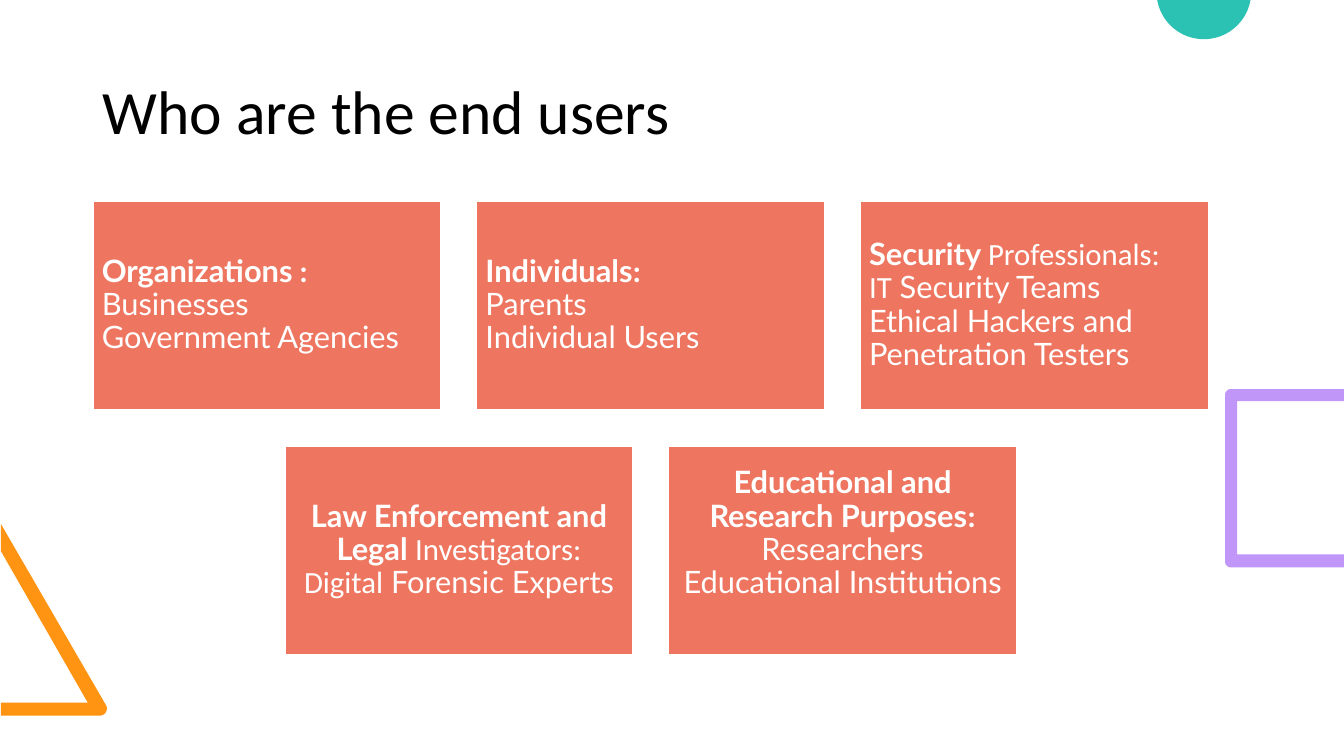
from dataclasses import dataclass
from math import cos, radians, sin
from typing import Any

from pptx import Presentation
from pptx.dml.color import RGBColor
from pptx.enum.shapes import MSO_SHAPE
from pptx.enum.text import MSO_ANCHOR, MSO_AUTO_SIZE, PP_ALIGN
from pptx.slide import Slide
from pptx.text.text import _Paragraph
from pptx.util import Inches, Pt

WHITE = RGBColor(0xFF, 0xFF, 0xFF)
BLACK = RGBColor(0x00, 0x00, 0x00)
CORAL = RGBColor(0xEE, 0x76, 0x60)
ORANGE = RGBColor(0xFF, 0x94, 0x13)
TEAL = RGBColor(0x2B, 0xC2, 0xB4)
PURPLE = RGBColor(0xC0, 0x97, 0xF8)

SLIDE_WIDTH, SLIDE_HEIGHT = 13.33, 7.5
GRID_LEFT, GRID_TOP, GRID_WIDTH = 0.92, 1.99, 11.07
CARD_WIDTH, CARD_HEIGHT = 3.46, 2.08
COLUMN_PITCH = (GRID_WIDTH - CARD_WIDTH) / 2
ROW_PITCH = 2.43
CARD_INSET = 0.09

Point = tuple[float, float]
CARD_FONT = {"size": Pt(22)}
BOLD_LATO = {"name": "Lato", "bold": True}
BOLD_CALIBRI = {"name": "Calibri", "bold": True}
LATO = {"name": "Lato", "bold": False}
CALIBRI = {"name": "Calibri", "bold": False}
TITLE_FONT = {"name": "Calibri", "size": Pt(44), "bold": False}


@dataclass(frozen=True)
class Phrase:
    text: str
    font: dict[str, Any]


@dataclass(frozen=True)
class Card:
    column: float
    row: int
    phrases: tuple[Phrase, ...]
    alignment: PP_ALIGN = PP_ALIGN.LEFT
    bottom_inset: float = CARD_INSET


@dataclass(frozen=True)
class Ornament:
    points: list[Point]
    color: RGBColor


def arc(x: float, y: float, radius: float, start: int, end: int) -> list[Point]:
    steps = 24
    angles = [radians(start + (end - start) * step / steps) for step in range(steps + 1)]
    return [(x + radius * cos(angle), y + radius * sin(angle)) for angle in angles]


CARDS = [
    Card(0, 0, (
        Phrase("Organizations", BOLD_LATO),
        Phrase(" :\n", BOLD_CALIBRI),
        Phrase("Businesses\nGovernment Agencies", LATO),
    )),
    Card(1, 0, (
        Phrase("Individuals", BOLD_LATO),
        Phrase(":\n", BOLD_CALIBRI),
        Phrase("Parents\nIndividual Users", LATO),
    )),
    Card(2, 0, (
        Phrase("Security ", BOLD_LATO),
        Phrase("Professionals:\nIT", CALIBRI),
        Phrase(" Security Teams\nEthical Hackers and Penetration Testers", LATO),
    )),
    Card(0.5, 1, (
        Phrase("Law Enforcement and Legal ", BOLD_LATO),
        Phrase("Investigators:\nDigital", CALIBRI),
        Phrase(" Forensic Experts", LATO),
    ), PP_ALIGN.CENTER),
    Card(1.5, 1, (
        Phrase("Educational and Research Purposes", BOLD_LATO),
        Phrase(":\n", BOLD_CALIBRI),
        Phrase("Researchers\nEducational Institutions", LATO),
    ), PP_ALIGN.CENTER, 0.42),
]

ORNAMENTS = [
    Ornament(
        [(0.01, 7.1), (0.01, 6.97), (0.87, 6.97), (0.01, 5.47), (0.01, 5.2)]
        + arc(0.99, 7.03, 0.07, -30, 90),
        ORANGE,
    ),
    Ornament(arc(11.94, -0.08, 0.47, 170, 10), TEAL),
    Ornament(
        [(SLIDE_WIDTH, 5.63), (SLIDE_WIDTH, 5.5), (12.27, 5.5),
         (12.27, 3.98), (SLIDE_WIDTH, 3.98), (SLIDE_WIDTH, 3.86)]
        + arc(12.21, 3.92, 0.06, 270, 180)
        + arc(12.21, 5.57, 0.06, 180, 90),
        PURPLE,
    ),
]


def apply_format(target: Any, values: dict[str, Any]) -> None:
    for name, value in values.items():
        setattr(target, name, value)


def write_phrase(paragraph: _Paragraph, phrase: Phrase, color: RGBColor) -> None:
    for index, line in enumerate(phrase.text.split("\n")):
        if index:
            paragraph.add_line_break()
        if line:
            run = paragraph.add_run()
            run.text = line
            apply_format(run.font, CARD_FONT | phrase.font)
            run.font.color.rgb = color


def draw_ornament(slide: Slide, ornament: Ornament) -> None:
    points = [(Inches(x), Inches(max(y, 0))) for x, y in ornament.points]
    builder = slide.shapes.build_freeform(*points[0])
    builder.add_line_segments(points[1:], close=True)
    shape = builder.convert_to_shape()
    shape.shadow.inherit = False
    shape.fill.solid()
    shape.fill.fore_color.rgb = ornament.color
    shape.line.fill.background()


def write_title(slide: Slide, text: str) -> None:
    title = slide.shapes.title
    apply_format(title, {
        "left": Inches(GRID_LEFT), "top": Inches(0.33),
        "width": Inches(11.5), "height": Inches(1.61),
    })
    apply_format(title.text_frame, {
        "text": text, "vertical_anchor": MSO_ANCHOR.MIDDLE,
        "auto_size": MSO_AUTO_SIZE.NONE, "word_wrap": True,
    })
    paragraph = title.text_frame.paragraphs[0]
    apply_format(paragraph, {"alignment": PP_ALIGN.LEFT, "line_spacing": 0.9})
    font = paragraph.runs[0].font
    apply_format(font, TITLE_FONT)
    font.color.rgb = BLACK


def draw_card(slide: Slide, card: Card) -> None:
    shape = slide.shapes.add_shape(
        MSO_SHAPE.RECTANGLE,
        Inches(GRID_LEFT + card.column * COLUMN_PITCH),
        Inches(GRID_TOP + card.row * ROW_PITCH),
        Inches(CARD_WIDTH),
        Inches(CARD_HEIGHT),
    )
    shape.shadow.inherit = False
    shape.fill.solid()
    shape.fill.fore_color.rgb = CORAL
    shape.line.color.rgb = WHITE
    shape.line.width = Pt(1.5)
    inset = Inches(CARD_INSET)
    apply_format(shape.text_frame, {
        "word_wrap": True, "vertical_anchor": MSO_ANCHOR.MIDDLE,
        "margin_left": inset, "margin_right": inset,
        "margin_top": inset, "margin_bottom": Inches(card.bottom_inset),
    })
    paragraph = shape.text_frame.paragraphs[0]
    apply_format(paragraph, {"alignment": card.alignment, "line_spacing": 0.9})
    for phrase in card.phrases:
        write_phrase(paragraph, phrase, WHITE)


def main() -> None:
    presentation = Presentation()
    presentation.slide_width = Inches(SLIDE_WIDTH)
    presentation.slide_height = Inches(SLIDE_HEIGHT)
    slide = presentation.slides.add_slide(presentation.slide_layouts.get_by_name("Title Only"))
    for ornament in ORNAMENTS:
        draw_ornament(slide, ornament)
    write_title(slide, "Who are the end users")
    for card in CARDS:
        draw_card(slide, card)
    presentation.save("out.pptx")


if __name__ == "__main__":
    main()
